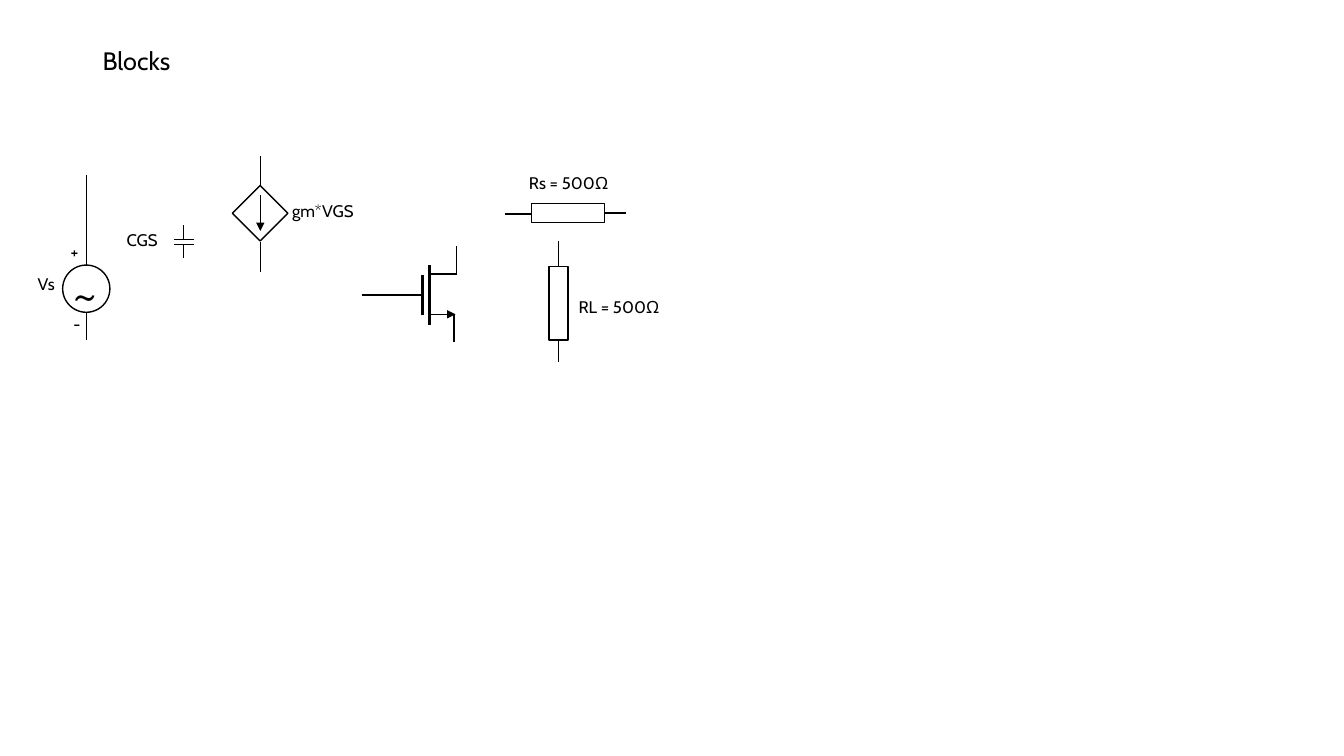
"""Build a slide of circuit building blocks."""
from lxml import etree
from pptx import Presentation
from pptx.dml.color import RGBColor
from pptx.enum import shapes, text
from pptx.oxml import ns
from pptx.util import Cm, Pt

FONT, INK = "Cabin", "000000"
TITLE = ("Blocks", 18, (2.33, 1.0, 29.21, 1.04))
BOX = shapes.MSO_SHAPE.RECTANGLE
RING = shapes.MSO_SHAPE.FLOWCHART_CONNECTOR
THIN, BOLD = 1, 2.25

BLOCKS = {
    "source resistor": {
        "body": (BOX, (13.39, 5.13, 1.85, 0.48), 0),
        "wires": [(15.24, 5.37, 15.77, 5.37), (12.73, 5.39, 13.39, 5.39)],
        "labels": [("Rs = 500Ω", 12, (13.08, 4.22, 2.84, 0.76))]},
    "load resistor": {
        "body": (BOX, (13.15, 7.4, 1.85, 0.48), 90),
        "wires": [(14.08, 8.57, 14.08, 9.12), (14.07, 6.07, 14.07, 6.73)],
        "labels": [("RL = 500Ω", 12, (14.33, 7.36, 2.84, 0.76))]},
    "capacitor": {
        "wires": [(4.38, 6.16, 4.89, 6.16), (4.38, 6.03, 4.89, 6.03),
                  (4.62, 5.68, 4.62, 6.02), (4.62, 6.17, 4.62, 6.5)],
        "labels": [("CGS", 12, (2.94, 5.66, 1.42, 0.76))]},
    "voltage source": {
        "body": (RING, (1.58, 6.68, 1.19, 1.19), 0),
        "wires": [(2.18, 7.87, 2.18, 8.58), (2.18, 4.42, 2.18, 6.71)],
        "labels": [("Vs", 12, (0.7, 6.78, 1.24, 1.27)),
                   ("~", 40, (1.57, 6.31, 1.12, 1.96)),
                   ("+", 12, (1.53, 5.97, 0.71, 0.76)),
                   ("-", 12, (1.6, 7.77, 0.69, 0.76))]},
    "current source": {
        "body": (BOX, (6.06, 4.88, 0.99, 0.99), 45),
        "wires": [(6.56, 3.92, 6.56, 4.68), (6.56, 6.1, 6.56, 6.86)],
        "arrows": [(6.56, 4.92, 6.56, 5.82)],
        "labels": [("gm*VGS", 12, (7.11, 4.93, 2.24, 0.76))]},
    "transistor": {
        "wires": [(9.12, 7.43, 10.62, 7.43), (10.82, 6.9, 11.51, 6.9),
                  (11.51, 6.2, 11.51, 6.9), (11.44, 7.9, 11.44, 8.61)],
        "arrows": [(10.8, 7.92, 11.48, 7.92)],
        "plates": [(10.82, 6.69, 10.82, 8.2), (10.64, 6.93, 10.64, 7.95)]},
}


def color(code):
    return RGBColor.from_string(code)


def cms(nums):
    return [Cm(n) for n in nums]


def write(frame, words, size):
    frame.word_wrap = True
    para = frame.paragraphs[0]
    para.alignment = text.PP_ALIGN.LEFT
    run = para.add_run()
    run.text = words
    run.font.name, run.font.size = FONT, Pt(size)
    run.font.color.rgb = color(INK)
    return para


def stroke(line, width):
    line.color.rgb = color(INK)
    line.width = Pt(width)


def add_body(group, kind, place, turn):
    body = group.shapes.add_shape(kind, *cms(place))
    body.rotation = turn
    body.shadow.inherit = False
    body.fill.background()
    stroke(body.line, THIN)


def add_wire(group, ends, width=THIN, arrow=False):
    wire = group.shapes.add_connector(shapes.MSO_CONNECTOR.STRAIGHT, *cms(ends))
    stroke(wire.line, width)
    if arrow:
        etree.SubElement(wire.line._get_or_add_ln(), ns.qn("a:tailEnd"), type="triangle")
    etree.SubElement(wire._element.spPr, ns.qn("a:effectLst"))


def add_label(group, words, size, place):
    frame = group.shapes.add_textbox(*cms(place)).text_frame
    write(frame, words, size)


def add_block(slide, block):
    group = slide.shapes.add_group_shape()
    if "body" in block:
        add_body(group, *block["body"])
    for ends in block["wires"]:
        add_wire(group, ends)
    for ends in block.get("arrows", []):
        add_wire(group, ends, arrow=True)
    for ends in block.get("plates", []):
        add_wire(group, ends, BOLD)
    for label in block.get("labels", []):
        add_label(group, *label)


def main():
    deck = Presentation()
    deck.slide_width, deck.slide_height = cms((33.87, 19.05))
    slide = deck.slides.add_slide(deck.slide_layouts[5])
    words, size, place = TITLE
    head = slide.shapes.title
    head.left, head.top, head.width, head.height = cms(place)
    head.text_frame.vertical_anchor = text.MSO_ANCHOR.BOTTOM
    write(head.text_frame, words, size).line_spacing = 0.9
    for block in BLOCKS.values():
        add_block(slide, block)
    deck.save("out.pptx")


if __name__ == "__main__":
    main()
